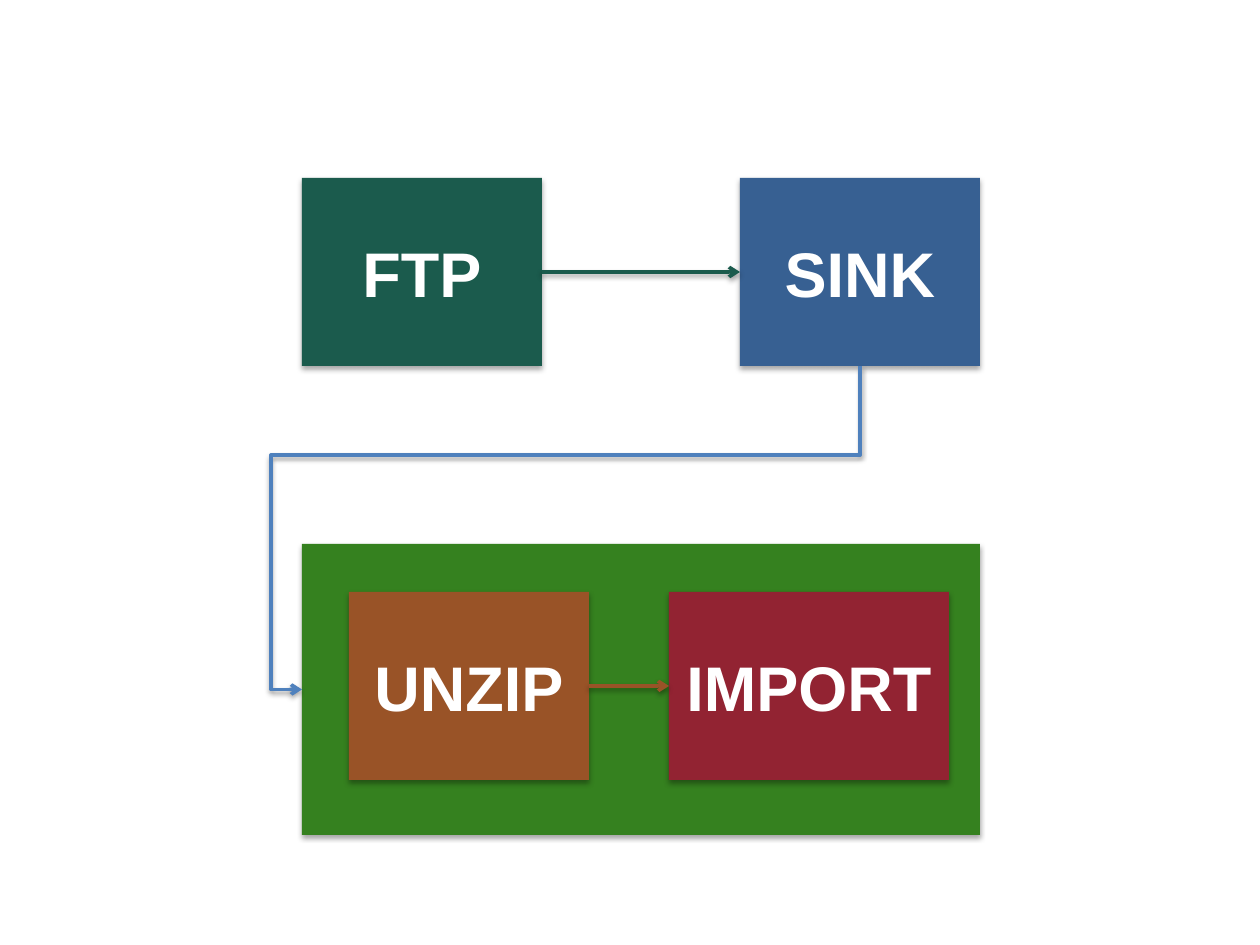
import dataclasses

import lxml.etree
import pptx
import pptx.dml.color
import pptx.enum.shapes
import pptx.enum.text
import pptx.oxml
import pptx.oxml.ns
import pptx.shapes.autoshape
import pptx.shapes.connector
import pptx.slide
import pptx.util

PX_PER_INCH = 126
TOP, LEFT, BOTTOM, RIGHT = range(4)
qn = pptx.oxml.ns.qn


@dataclasses.dataclass(frozen=True)
class Theme:
    font: str = "Arial"
    label_size: int = 36
    line_width: int = 2
    label: str = "FFFFFF"
    ftp: str = "1B5B4D"
    sink: str = "376092"
    job: str = "35811F"
    unzip: str = "995327"
    load: str = "922332"
    trigger: str = "4F81BD"
    shadow: str = "000000"


THEME = Theme()


@dataclasses.dataclass(frozen=True)
class Box:
    label: str
    left: int
    top: int
    width: int
    height: int
    color: str


STEP_WIDTH, STEP_HEIGHT = 240, 188
STREAM_TOP, JOB_STEP_TOP = 178, 592
JOB = Box("", 302, 544, 678, 291, THEME.job)
FTP = Box("FTP", JOB.left, STREAM_TOP, STEP_WIDTH, STEP_HEIGHT, THEME.ftp)
SINK = Box("SINK", JOB.left + JOB.width - STEP_WIDTH, STREAM_TOP,
           STEP_WIDTH, STEP_HEIGHT, THEME.sink)
UNZIP = Box("UNZIP", 349, JOB_STEP_TOP, STEP_WIDTH, STEP_HEIGHT, THEME.unzip)
IMPORT = Box("IMPORT", 669, JOB_STEP_TOP, 280, STEP_HEIGHT, THEME.load)


@dataclasses.dataclass(frozen=True)
class Flow:
    source: Box
    target: Box
    color: str


FLOWS = (Flow(UNZIP, IMPORT, THEME.unzip), Flow(FTP, SINK, THEME.ftp))


def px(length: float) -> pptx.util.Emu:
    return pptx.util.Emu(round(length * pptx.util.Inches(1) / PX_PER_INCH))


def rgb(color: str) -> pptx.dml.color.RGBColor:
    return pptx.dml.color.RGBColor.from_string(color)


def add_shadow(properties: lxml.etree._Element, opacity: int, distance: float) -> None:
    """Append a soft shadow that falls straight down."""
    for old in properties.findall(qn("a:effectLst")):
        properties.remove(old)
    effects = lxml.etree.SubElement(properties, qn("a:effectLst"))
    shadow = lxml.etree.SubElement(
        effects, qn("a:outerShdw"), blurRad=str(pptx.util.Pt(3.1)),
        dist=str(pptx.util.Pt(distance)), dir="5400000", rotWithShape="0")
    color = lxml.etree.SubElement(shadow, qn("a:srgbClr"), val=THEME.shadow)
    lxml.etree.SubElement(color, qn("a:alpha"), val=str(opacity * 1000))


def draw_box(slide: pptx.slide.Slide, box: Box) -> pptx.shapes.autoshape.Shape:
    shape = slide.shapes.add_shape(
        pptx.enum.shapes.MSO_SHAPE.RECTANGLE,
        px(box.left), px(box.top), px(box.width), px(box.height))
    shape.fill.solid()
    shape.fill.fore_color.rgb = rgb(box.color)
    shape.line.fill.background()
    shape.shadow.inherit = False
    add_shadow(shape.element.spPr, 35, 1.8)
    if box.label:
        shape.text_frame.vertical_anchor = pptx.enum.text.MSO_ANCHOR.MIDDLE
        paragraph = shape.text_frame.paragraphs[0]
        paragraph.alignment = pptx.enum.text.PP_ALIGN.CENTER
        run = paragraph.add_run()
        run.text = box.label
        run.font.name = THEME.font
        run.font.size = pptx.util.Pt(THEME.label_size)
        run.font.bold = True
        run.font.color.rgb = rgb(THEME.label)
    return shape


def draw_arrow(
    slide: pptx.slide.Slide,
    kind: pptx.enum.shapes.MSO_CONNECTOR,
    source: pptx.shapes.autoshape.Shape,
    source_side: int,
    target: pptx.shapes.autoshape.Shape,
    color: str,
) -> pptx.shapes.connector.Connector:
    """Join a side of source to the left side of target."""
    arrow = slide.shapes.add_connector(kind, 0, 0, 0, 0)
    arrow.begin_connect(source, source_side)
    arrow.end_connect(target, LEFT)
    arrow.line.color.rgb = rgb(color)
    arrow.line.width = pptx.util.Pt(THEME.line_width)
    properties = arrow.element.spPr
    lxml.etree.SubElement(properties.find(qn("a:ln")), qn("a:tailEnd"), type="arrow")
    add_shadow(properties, 38, 1.6)
    return arrow


def route_around(arrow: pptx.shapes.connector.Connector, source: Box, target: Box) -> None:
    """Lead the arrow down from source, past target's left edge, and back in."""
    start_x, start_y = source.left + source.width / 2, source.top + source.height
    end_x, end_y = target.left, target.top + target.height / 2
    run, drop = start_x - end_x, end_y - start_y
    frame = arrow.element.spPr.find(qn("a:xfrm"))
    for flip in ("flipH", "flipV"):
        frame.attrib.pop(flip, None)
    frame.set("rot", "5400000")
    # The frame is stored before its quarter turn, so drop is its width.
    arrow.left, arrow.top = px((start_x + end_x - drop) / 2), px((start_y + end_y - run) / 2)
    arrow.width, arrow.height = px(drop), px(run)
    geometry = arrow.element.spPr.find(qn("a:prstGeom"))
    geometry.set("prst", "bentConnector4")
    guides = geometry.find(qn("a:avLst"))
    for name, share in (("adj1", 27600), ("adj2", 105600)):
        lxml.etree.SubElement(guides, qn("a:gd"), name=name, fmla=f"val {share}")


def main() -> None:
    deck = pptx.Presentation()
    deck.slide_width, deck.slide_height = pptx.util.Inches(10), pptx.util.Inches(7.5)
    slide = deck.slides.add_slide(deck.slide_layouts[6])
    shapes = {box: draw_box(slide, box) for box in (JOB, FTP, IMPORT, UNZIP, SINK)}
    connectors = pptx.enum.shapes.MSO_CONNECTOR
    for flow in FLOWS:
        draw_arrow(slide, connectors.STRAIGHT, shapes[flow.source], RIGHT,
                   shapes[flow.target], flow.color)
    trigger = draw_arrow(slide, connectors.ELBOW, shapes[SINK], BOTTOM,
                         shapes[JOB], THEME.trigger)
    route_around(trigger, SINK, JOB)
    deck.save("out.pptx")


if __name__ == "__main__":
    main()
